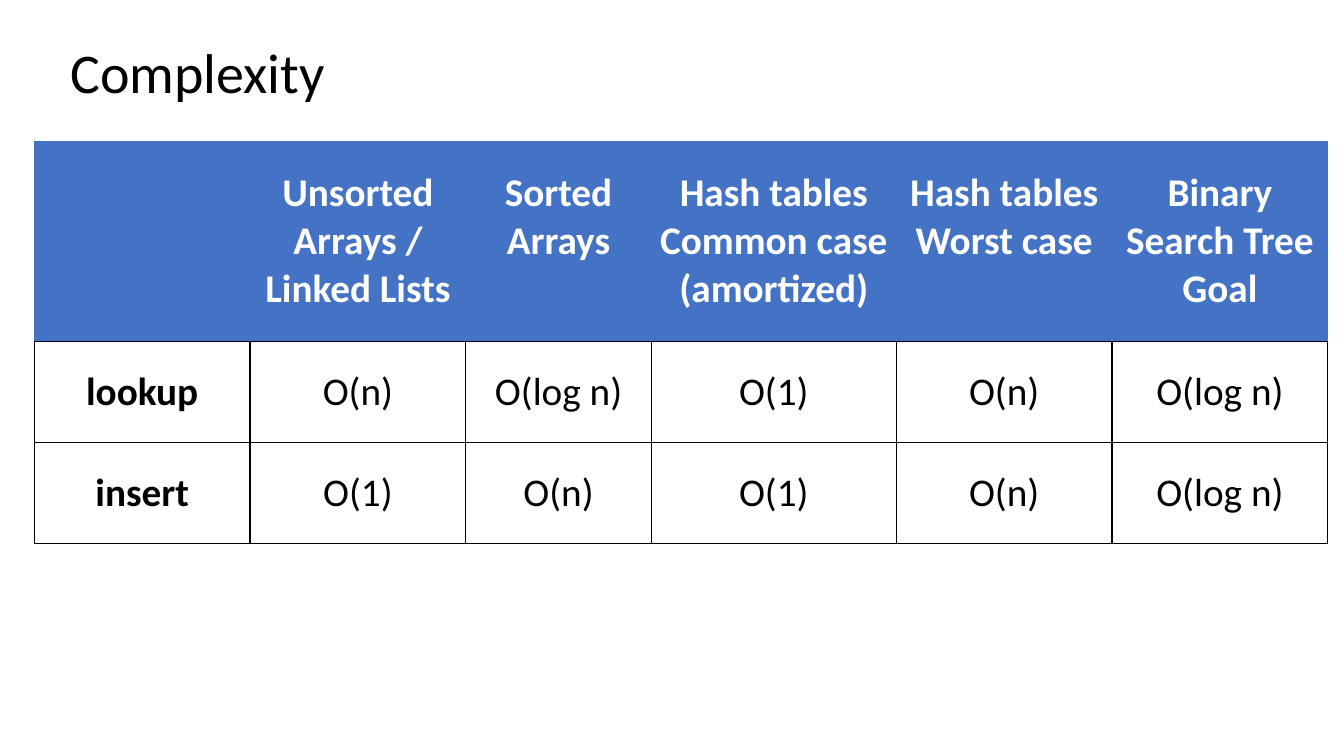
import pptx
import pptx.dml.color
import pptx.enum.text
import pptx.oxml
import pptx.oxml.ns
import pptx.util
from pptx.util import Inches

HEADERS = [
    [],
    ["Unsorted Arrays /", "Linked Lists"],
    ["Sorted", "Arrays"],
    ["Hash tables", "Common case", "(amortized)"],
    ["Hash tables", "Worst case"],
    ["Binary Search Tree", "Goal"],
]
COSTS = [
    ["lookup", "O(n)", "O(log n)", "O(1)", "O(n)", "O(log n)"],
    ["insert", "O(1)", "O(n)", "O(1)", "O(n)", "O(log n)"],
]
COLUMN_WIDTHS = [2.14, 2.14, 1.84, 2.43, 2.14, 2.14]
ROW_HEIGHTS = [1.99, 1, 1]
TWO_LINE_HEADERS = (2, 4)


class ComplexitySlide:
    """Holds the style and the current slide, and draws its elements."""

    colors = {"text": "000000", "header": "4472C4", "white": "FFFFFF"}
    font = "Calibri"

    def __init__(self, deck):
        self.slide = deck.slides.add_slide(deck.slide_layouts[6])

    def color(self, name):
        return pptx.dml.color.RGBColor.from_string(self.colors[name])

    def add_text(self, paragraph, text, size, color, bold=False):
        run = paragraph.add_run()
        run.text = text
        run.font.name = self.font
        run.font.size = pptx.util.Pt(size)
        run.font.bold = bold
        run.font.color.rgb = self.color(color)

    def title(self, text, left, top, width, height):
        heading = self.slide.shapes.add_textbox(
            Inches(left), Inches(top), Inches(width), Inches(height))
        frame = heading.text_frame
        frame.word_wrap = True
        frame.vertical_anchor = pptx.enum.text.MSO_ANCHOR.MIDDLE
        frame.paragraphs[0].line_spacing = 0.9
        self.add_text(frame.paragraphs[0], text, 40, "text")

    def borders(self, cell, sides):
        properties = cell._tc.get_or_add_tcPr()
        for position, (side, (color, points)) in enumerate(sides.items()):
            line = pptx.oxml.parse_xml(
                f'<a:ln{side} {pptx.oxml.ns.nsdecls("a")} w="{pptx.util.Pt(points)}">'
                f'<a:solidFill><a:srgbClr val="{self.colors[color]}"/></a:solidFill>'
                f'</a:ln{side}>')
            properties.insert(position, line)

    def cell(self, cell, lines, fill, color, bold, sides, bottom=0):
        cell.fill.solid()
        cell.fill.fore_color.rgb = self.color(fill)
        cell.vertical_anchor = pptx.enum.text.MSO_ANCHOR.MIDDLE
        cell.margin_left = cell.margin_right = Inches(0.07)
        cell.margin_top = 0
        cell.margin_bottom = Inches(bottom)
        for number, text in enumerate(lines):
            frame = cell.text_frame
            paragraph = frame.add_paragraph() if number else frame.paragraphs[0]
            paragraph.alignment = pptx.enum.text.PP_ALIGN.CENTER
            self.add_text(paragraph, text, 28, color, bold)
        self.borders(cell, sides)

    def table(self, left, top):
        costs = self.slide.shapes.add_table(
            len(ROW_HEIGHTS), len(COLUMN_WIDTHS), Inches(left), Inches(top),
            Inches(sum(COLUMN_WIDTHS)), Inches(sum(ROW_HEIGHTS))).table
        for column, width in zip(costs.columns, COLUMN_WIDTHS):
            column.width = Inches(width)
        for row, height in zip(costs.rows, ROW_HEIGHTS):
            row.height = Inches(height)
        grid_line, header_line = ("text", 1), ("header", 0.5)
        body_sides = dict.fromkeys("LRTB", grid_line)
        header_sides = {**dict.fromkeys("LRT", header_line), "B": grid_line}
        for column, lines in enumerate(HEADERS):
            bottom = 0.48 if column in TWO_LINE_HEADERS else 0
            self.cell(costs.cell(0, column), lines, "header", "white", True,
                      header_sides, bottom)
        for row, values in enumerate(COSTS, 1):
            for column, value in enumerate(values):
                self.cell(costs.cell(row, column), [value], "white", "text",
                          column == 0, body_sides)


def main():
    deck = pptx.Presentation()
    deck.slide_width, deck.slide_height = Inches(13.33), Inches(7.5)
    complexity = ComplexitySlide(deck)
    complexity.title("Complexity", 0.6, 0.4, 11.5, 0.69)
    complexity.table(0.34, 1.4)
    deck.save("out.pptx")


if __name__ == "__main__":
    main()
